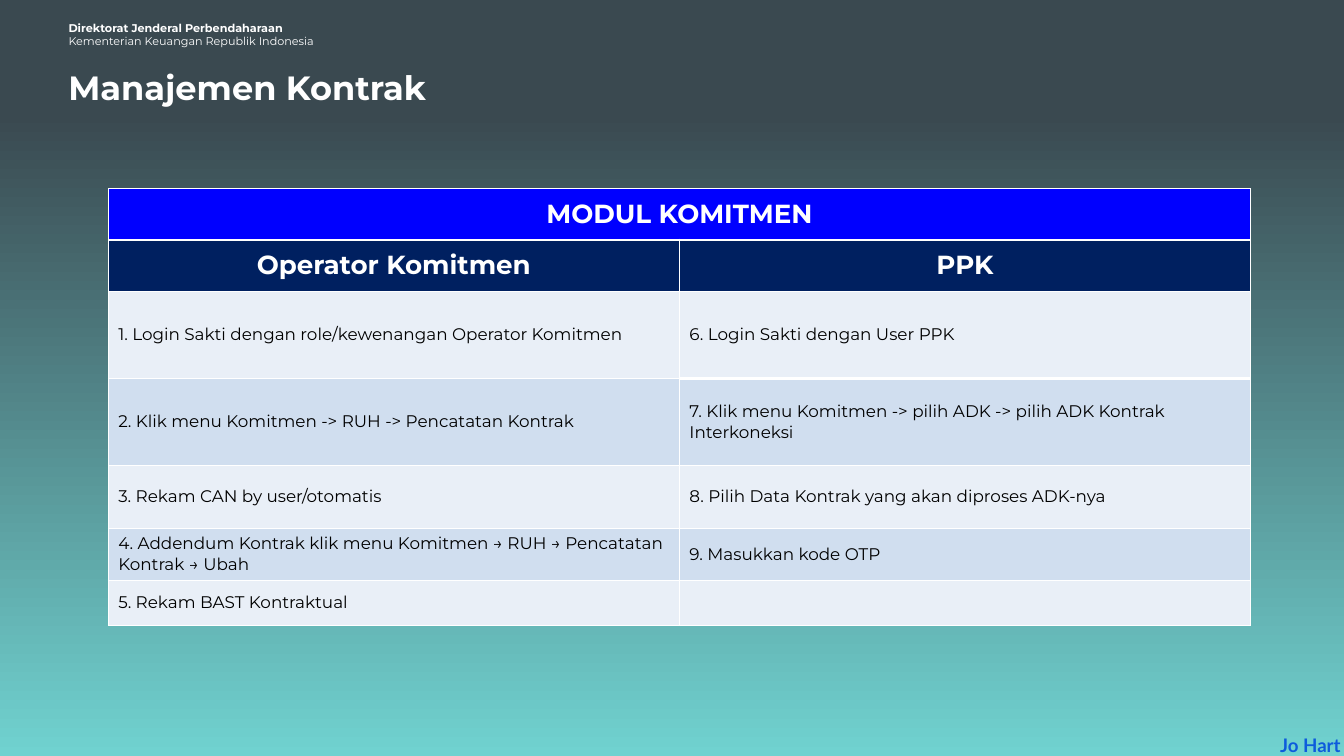
from pptx import Presentation
from pptx.dml.color import RGBColor
from pptx.enum.text import MSO_ANCHOR, MSO_AUTO_SIZE, PP_ALIGN
from pptx.oxml import parse_xml
from pptx.oxml.ns import nsdecls
from pptx.util import Inches, Pt

LEFT, CENTER = PP_ALIGN.LEFT, PP_ALIGN.CENTER
MIDDLE = MSO_ANCHOR.MIDDLE
NO_AUTOFIT = MSO_AUTO_SIZE.NONE

THEME = {
    "gradient": [(0.15, "3A4950"), (1, "70D2D0")],
    "banner": "0000FF",
    "heading": "002060",
    "bands": ["E9EFF7", "D0DEEF"],
    "border": "FFFFFF",
    "formats": {
        "agency": {"name": "Montserrat", "size": 12, "color": "FFFFFF", "bold": True},
        "ministry": {"name": "Montserrat", "size": 12, "color": "FFFFFF", "bold": False},
        "title": {"name": "Montserrat", "size": 36, "color": "FFFFFF", "bold": True},
        "author": {"name": "Lato", "size": 20, "color": "0D5BDC", "bold": True},
        "heading": {"name": "Montserrat", "size": 28, "color": "FFFFFF", "bold": True},
        "step": {"name": "Montserrat", "size": 18, "color": "000000", "bold": False},
    },
}

TEXT_BOXES = [
    {"at": (0.82, 0.11, 6.96, 0.81), "insets": (0.2, 0.2), "align": LEFT,
     "lines": [("Direktorat Jenderal Perbendaharaan", "agency"),
               ("Kementerian Keuangan Republik Indonesia", "ministry")]},
    {"at": (18.83, 10.87, 1.34, 0.45), "insets": (0.1, 0.05), "align": CENTER,
     "lines": [("Jo Hart", "author")]},
    {"at": (0.92, 0.89, 8.16, 0.81), "insets": (0.1, 0.1), "align": LEFT,
     "lines": [("Manajemen Kontrak", "title")]},
]

TABLE_AT = (1.61, 2.81, 17, 6.39)
CELL_INSETS = (0.15, 0.08)
ROW_HEIGHTS = [0.76, 0.76, 1.3, 1.3, 0.93, 0.67, 0.67]
HEADINGS = [("MODUL KOMITMEN", ""), ("Operator Komitmen", "PPK")]
STEPS = [
    ("1. Login Sakti dengan role/kewenangan Operator Komitmen",
     "6. Login Sakti dengan User PPK"),
    ("2. Klik menu Komitmen -> RUH -> Pencatatan Kontrak",
     "7. Klik menu Komitmen -> pilih ADK -> pilih ADK Kontrak Interkoneksi"),
    ("3. Rekam CAN by user/otomatis",
     "8. Pilih Data Kontrak yang akan diproses ADK-nya"),
    ("4. Addendum Kontrak klik menu Komitmen → RUH → Pencatatan Kontrak → Ubah",
     "9. Masukkan kode OTP"),
    ("5. Rekam BAST Kontraktual", ""),
]
THICK_EDGES = {(0, 0, "B"), (0, 1, "B"), (2, 1, "B"), (3, 1, "T")}


def set_margins(target, insets):
    for side, inset in zip(("left", "top", "right", "bottom"), insets * 2):
        setattr(target, f"margin_{side}", Inches(inset))


def write_line(para, text, style, align):
    para.alignment = align
    span = para.add_run()
    span.text = text
    for key, value in THEME["formats"][style].items():
        if key == "color":
            span.font.color.rgb = RGBColor.from_string(value)
        else:
            setattr(span.font, key, Pt(value) if key == "size" else value)


def paint_background(page):
    fill = page.background.fill
    fill.gradient()
    fill.gradient_angle = 270
    for stop, (position, color) in zip(fill.gradient_stops, THEME["gradient"]):
        stop.position = position
        stop.color.rgb = RGBColor.from_string(color)


def add_text_box(page, content):
    box = page.shapes.add_textbox(*map(Inches, content["at"]))
    frame = box.text_frame
    frame.word_wrap = True
    frame.auto_size = NO_AUTOFIT
    set_margins(frame, content["insets"])
    for index, (text, style) in enumerate(content["lines"]):
        para = frame.add_paragraph() if index else frame.paragraphs[0]
        write_line(para, text, style, content["align"])


def add_borders(cell, row, column):
    properties = cell._tc.get_or_add_tcPr()
    for index, side in enumerate("LRTB"):
        width = Pt(3 if (row, column, side) in THICK_EDGES else 1)
        properties.insert(index, parse_xml(
            f'<a:ln{side} {nsdecls("a")} w="{width}"><a:solidFill>'
            f'<a:srgbClr val="{THEME["border"]}"/></a:solidFill></a:ln{side}>'))


def add_step_table(page):
    rows = HEADINGS + STEPS
    table = page.shapes.add_table(len(rows), 2, *map(Inches, TABLE_AT)).table
    table.first_row = table.horz_banding = False
    fills = [THEME["banner"], THEME["heading"]]
    fills += [THEME["bands"][index % 2] for index in range(len(STEPS))]
    for row, (texts, height, color) in enumerate(zip(rows, ROW_HEIGHTS, fills)):
        table.rows[row].height = Inches(height)
        is_heading = row < len(HEADINGS)
        style, align = ("heading", CENTER) if is_heading else ("step", LEFT)
        for column, text in enumerate(texts):
            cell = table.cell(row, column)
            cell.vertical_anchor = MIDDLE
            set_margins(cell, CELL_INSETS)
            cell.fill.solid()
            cell.fill.fore_color.rgb = RGBColor.from_string(color)
            add_borders(cell, row, column)
            if text:
                write_line(cell.text_frame.paragraphs[0], text, style, align)
    table.cell(0, 0).merge(table.cell(0, 1))


def main():
    """Build the contract management slide."""
    deck = Presentation()
    deck.slide_width, deck.slide_height = Inches(20), Inches(11.25)
    page = deck.slides.add_slide(deck.slide_layouts[6])
    paint_background(page)
    for content in TEXT_BOXES:
        add_text_box(page, content)
    add_step_table(page)
    deck.save("out.pptx")


if __name__ == "__main__":
    main()
